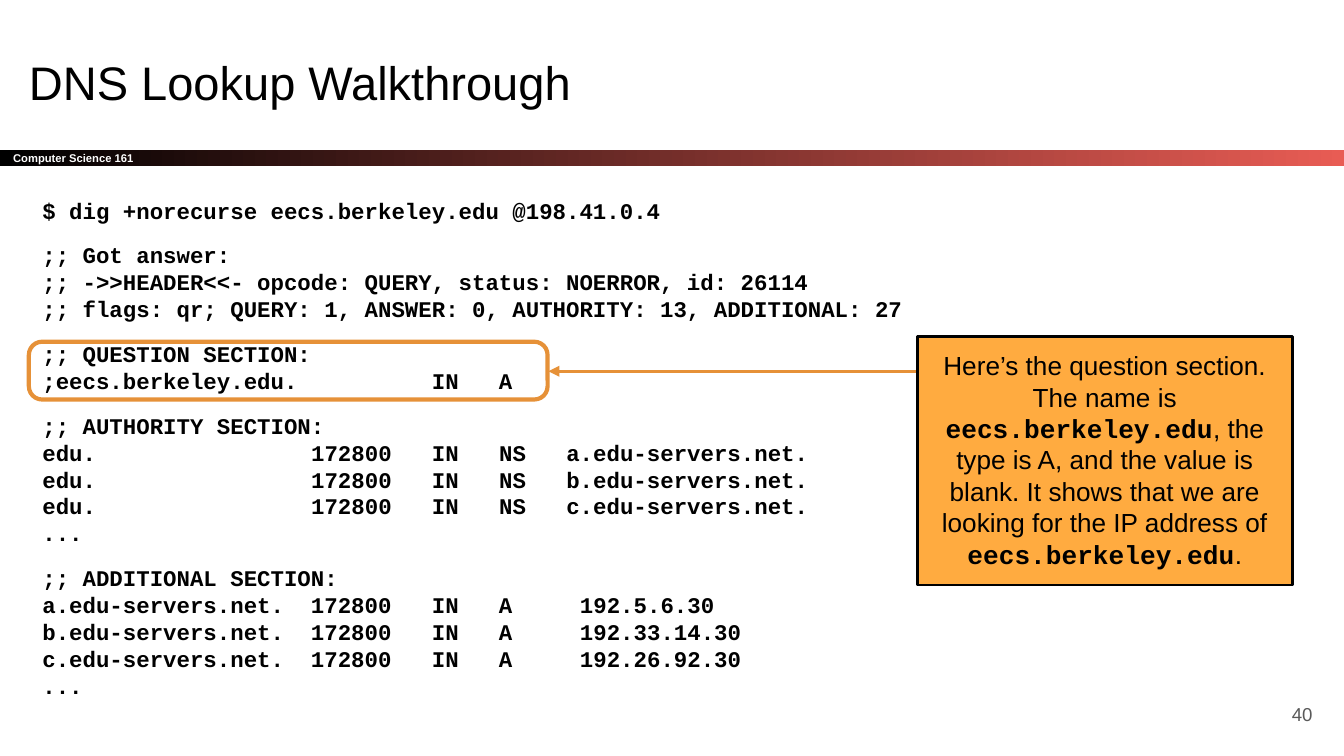
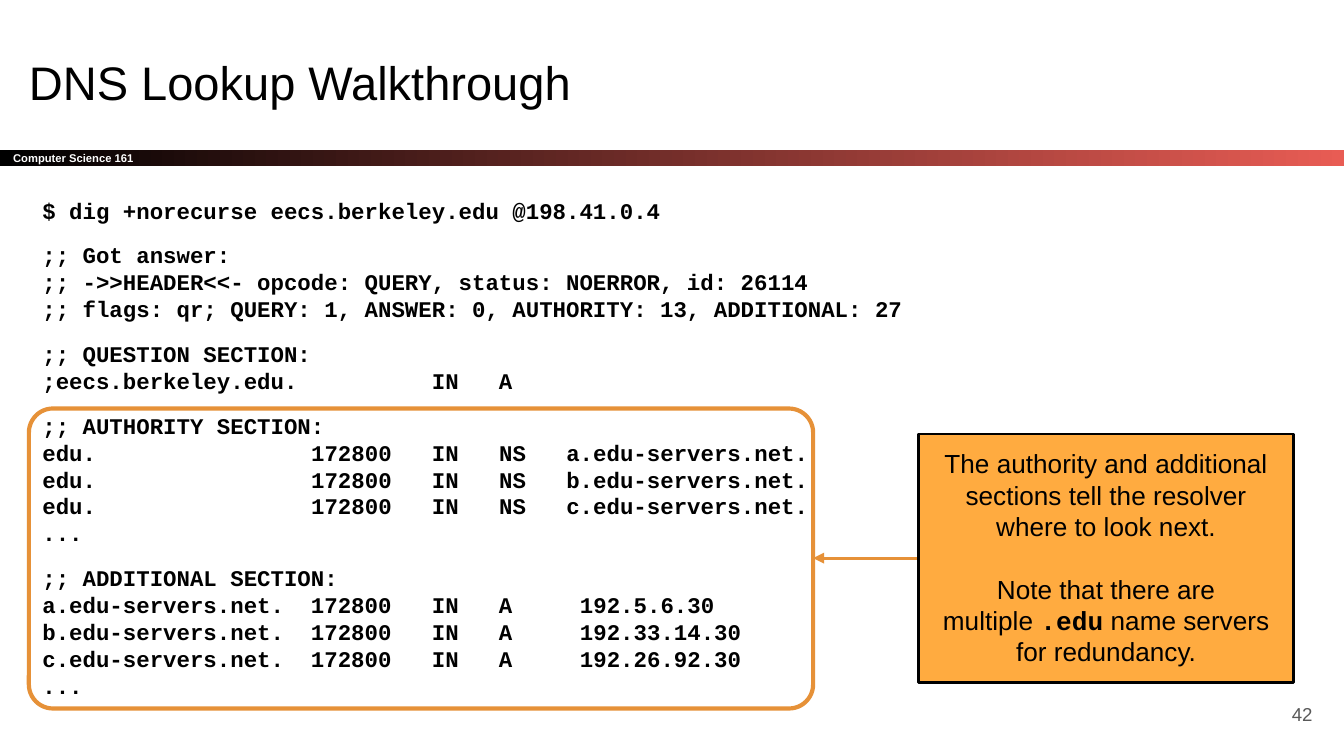
import pptx
import pptx.util
import pptx.dml.color
import pptx.enum.shapes
import pptx.enum.text
import pptx.oxml.ns
from lxml import etree

WIDTH = 10
HEIGHT = WIDTH * 9 / 16
COLORS = {
    "black": "000000",
    "white": "FFFFFF",
    "red": "E85C54",
    "orange": "E69138",
    "callout": "FFAB40",
    "gray": "595959",
}
SANS, MONO = "Arial", "Courier New"
LEADING = 1.2
MIDDLE = pptx.enum.text.MSO_ANCHOR.MIDDLE
TOP = pptx.enum.text.MSO_ANCHOR.TOP
ALIGN = pptx.enum.text.PP_ALIGN
SHAPES = pptx.enum.shapes.MSO_SHAPE

# Terminal output: one list of lines per section
SERVERS = {"a": "192.5.6.30", "b": "192.33.14.30", "c": "192.26.92.30"}
DIG_OUTPUT = [
    ["$ dig +norecurse eecs.berkeley.edu @198.41.0.4"],
    [
        ";; Got answer:",
        ";; ->>HEADER<<- opcode: QUERY, status: NOERROR, id: 26114",
        ";; flags: qr; QUERY: 1, ANSWER: 0, AUTHORITY: 13, ADDITIONAL: 27",
    ],
    [";; QUESTION SECTION:", ";eecs.berkeley.edu.          IN   A"],
    [
        ";; AUTHORITY SECTION:",
        *[f"edu.            \t172800   IN   NS   {name}.edu-servers.net." for name in SERVERS],
        "...",
    ],
    [
        ";; ADDITIONAL SECTION:",
        *[f"{name}.edu-servers.net.  172800   IN   A\t{address}" for name, address in SERVERS.items()],
        "...",
    ],
]

# Per-slide content; places are percentages of the slide's width and height
STEPS = [
    {
        "number": "40",
        "highlight": (2.15, 45.2, 38.6, 7.65),
        "corner": 0.23,
        "arrow": (74.8, 40.8, 49.11),
        "callout": (68.25, 44.48, 27.9, 32.92),
        "text": [[
            ("Here’s the question section. The name is ", SANS),
            ("eecs.berkeley.edu", MONO),
            (", the type is A, and the value is blank. It shows that we are looking for the IP address of ", SANS),
            ("eecs.berkeley.edu", MONO),
            (".", SANS),
        ]],
    },
    {
        "number": "42",
        "highlight": (2.15, 54.04, 58.35, 39.68),
        "corner": 0.08,
        "arrow": (72.2, 60.5, 73.84),
        "callout": (68.35, 57.42, 27.9, 32.92),
        "text": [
            [("The authority and additional sections tell the resolver where to look next.", SANS)],
            [
                ("Note that there are multiple ", SANS),
                (".edu", MONO),
                (" name servers for redundancy.", SANS),
            ],
        ],
    },
]


def across(share):
    return pptx.util.Inches(WIDTH * share / 100)


def down(share):
    return pptx.util.Inches(HEIGHT * share / 100)


def box(left, top, width, height):
    return across(left), down(top), across(width), down(height)


def color(name):
    return pptx.dml.color.RGBColor.from_string(COLORS[name])


def set_frame(shape, anchor, vertical_inset=0.1):
    frame = shape.text_frame
    frame.word_wrap = True
    frame.auto_size = pptx.enum.text.MSO_AUTO_SIZE.NONE
    frame.vertical_anchor = anchor
    frame.margin_left = frame.margin_right = pptx.util.Inches(0.1)
    frame.margin_top = frame.margin_bottom = pptx.util.Inches(vertical_inset)
    return frame


def add_run(paragraph, text, size, font=SANS, fill="black", bold=False):
    run = paragraph.add_run()
    run.text = text
    run.font.size = pptx.util.Pt(size)
    run.font.name = font
    run.font.bold = bold
    run.font.color.rgb = color(fill)


def next_paragraph(frame, first):
    return frame.paragraphs[0] if first else frame.add_paragraph()


def set_spacing(paragraph, size, before=0):
    paragraph.line_spacing = pptx.util.Pt(size * LEADING)
    paragraph.space_before = pptx.util.Pt(before)
    paragraph.space_after = pptx.util.Pt(0)


def set_code_layout(paragraph):
    """Flush left, no bullet, tab stops every two inches."""
    properties = paragraph._p.get_or_add_pPr()
    properties.set("marL", "0")
    properties.set("indent", "0")
    qualified = pptx.oxml.ns.qn
    etree.SubElement(properties, qualified("a:buNone"))
    tabs = etree.SubElement(properties, qualified("a:tabLst"))
    for inches in (2, 4):
        etree.SubElement(tabs, qualified("a:tab"), pos=str(pptx.util.Inches(inches)), algn="l")


def add_outlined(slide, kind, place, line, width, fill=None):
    shape = slide.shapes.add_shape(kind, *box(*place))
    shape.shadow.inherit = False
    if fill:
        shape.fill.solid()
        shape.fill.fore_color.rgb = color(fill)
    else:
        shape.fill.background()
    shape.line.color.rgb = color(line)
    shape.line.width = pptx.util.Pt(width)
    return shape


def add_band(slide):
    """Draw the course band, then move it to the layout so all slides show it."""
    band = slide.shapes.add_shape(SHAPES.RECTANGLE, *box(0, 19.8, 100, 2.14))
    band.shadow.inherit = False
    band.line.fill.background()
    band.fill.gradient()
    band.fill.gradient_angle = 0
    for stop, name, position in zip(band.fill.gradient_stops, ("black", "red"), (0, 1)):
        stop.color.rgb = color(name)
        stop.position = position
    paragraph = set_frame(band, MIDDLE, 0).paragraphs[0]
    paragraph.alignment = ALIGN.LEFT
    add_run(paragraph, "Computer Science 161", 6, fill="white", bold=True)
    slide.slide_layout.shapes._spTree.append(band._element)


def fill_title(slide, text):
    title = slide.shapes.title
    title.left, title.top, title.width, title.height = box(1.15, 5.25, 93.2, 11.21)
    paragraph = set_frame(title, MIDDLE).paragraphs[0]
    paragraph.alignment = ALIGN.LEFT
    add_run(paragraph, text, 25.2)


def fill_terminal(slide, sections):
    body = slide.placeholders[1]
    body.left, body.top, body.width, body.height = box(2.15, 24.25, 68.3, 73.31)
    frame = set_frame(body, TOP)
    for section_index, section in enumerate(sections):
        for line_index, line in enumerate(section):
            paragraph = next_paragraph(frame, section_index == line_index == 0)
            set_code_layout(paragraph)
            starts_section = section_index > 0 and line_index == 0
            set_spacing(paragraph, 12, 9.6 if starts_section else 0)
            paragraph.alignment = ALIGN.LEFT
            add_run(paragraph, line, 12, MONO, bold=True)


def add_page_number(slide, number):
    text_box = slide.shapes.add_textbox(*box(92.65, 90.67, 6, 7.65))
    paragraph = set_frame(text_box, MIDDLE).paragraphs[0]
    paragraph.alignment = ALIGN.RIGHT
    add_run(paragraph, number, 10, fill="gray")


def add_highlight(slide, place, corner):
    frame = add_outlined(slide, SHAPES.ROUNDED_RECTANGLE, place, "orange", 2.25)
    frame.adjustments[0] = corner


def add_arrow(slide, start, end, level):
    arrow = slide.shapes.add_connector(
        pptx.enum.shapes.MSO_CONNECTOR.STRAIGHT,
        across(start), down(level), across(end), down(level))
    arrow.line.color.rgb = color("orange")
    arrow.line.width = pptx.util.Pt(1.5)
    qualified = pptx.oxml.ns.qn
    etree.SubElement(arrow.line._get_or_add_ln(), qualified("a:tailEnd"), type="triangle")
    etree.SubElement(arrow._element.spPr, qualified("a:effectLst"))


def add_callout(slide, place, paragraphs):
    callout = add_outlined(slide, SHAPES.RECTANGLE, place, "black", 1.5, "callout")
    frame = set_frame(callout, TOP)
    for index, runs in enumerate(paragraphs):
        paragraph = next_paragraph(frame, index == 0)
        paragraph.alignment = ALIGN.CENTER
        set_spacing(paragraph, 14, 14 * LEADING if index else 0)
        for text, font in runs:
            add_run(paragraph, text, 14, font, bold=font == MONO)


def main():
    presentation = pptx.Presentation()
    presentation.slide_width = pptx.util.Inches(WIDTH)
    presentation.slide_height = pptx.util.Inches(HEIGHT)
    layout = presentation.slide_layouts[1]

    for index, step in enumerate(STEPS):
        slide = presentation.slides.add_slide(layout)
        if index == 0:
            add_band(slide)
        fill_title(slide, "DNS Lookup Walkthrough")
        fill_terminal(slide, DIG_OUTPUT)
        add_page_number(slide, step["number"])
        add_highlight(slide, step["highlight"], step["corner"])
        add_arrow(slide, *step["arrow"])
        add_callout(slide, step["callout"], step["text"])

    presentation.save("out.pptx")


if __name__ == "__main__":
    main()
